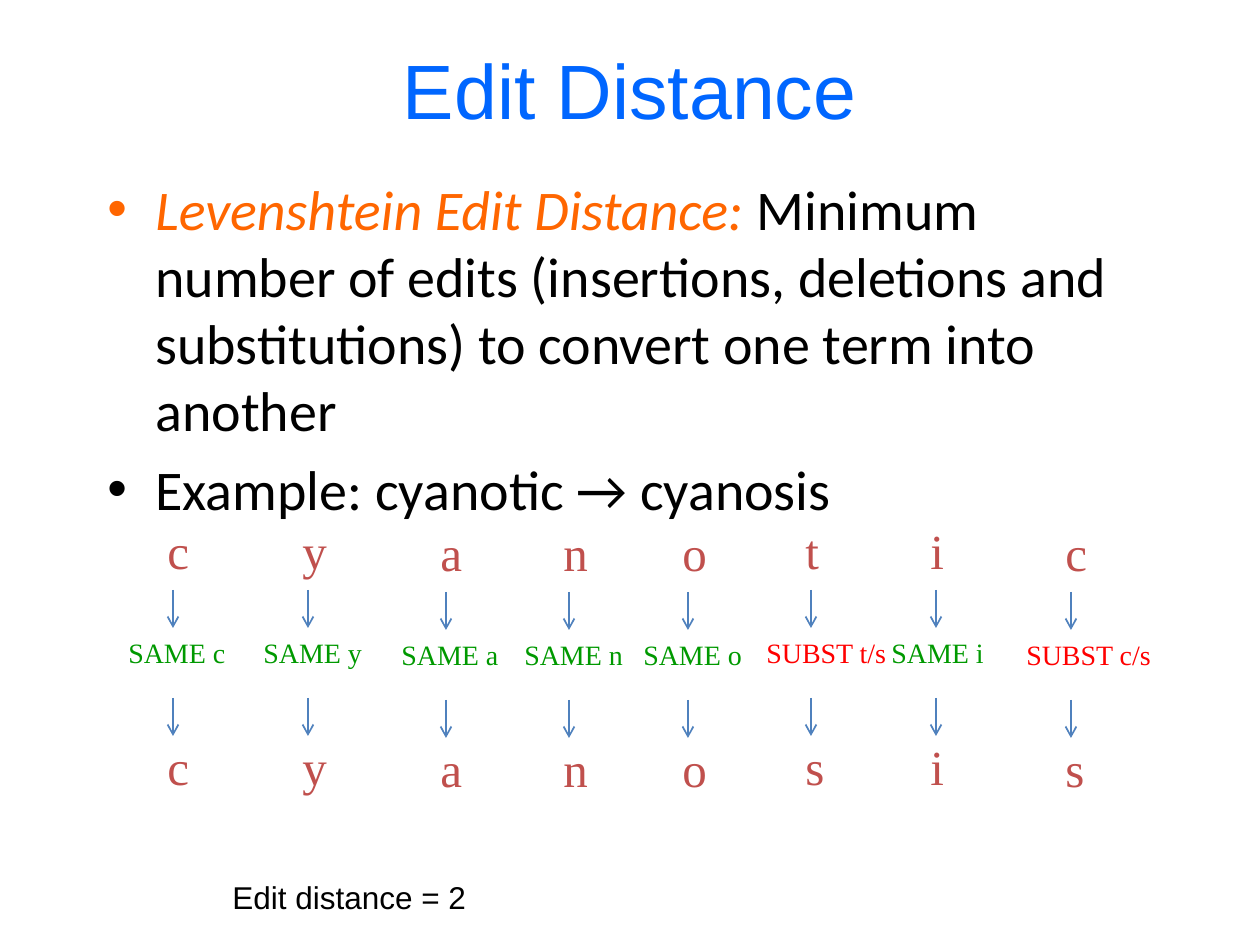
from pptx import Presentation
from pptx.dml.color import RGBColor
from pptx.enum.shapes import MSO_CONNECTOR
from pptx.enum.text import MSO_ANCHOR, MSO_AUTO_SIZE, PP_ALIGN
from pptx.oxml.ns import qn
from pptx.util import Emu, Pt
from lxml import etree

PX = 914400 // 126
STRAIGHT = MSO_CONNECTOR.STRAIGHT
MIDDLE = MSO_ANCHOR.MIDDLE
GROW = MSO_AUTO_SIZE.SHAPE_TO_FIT_TEXT
CENTER = PP_ALIGN.CENTER

TITLE_BLUE = RGBColor(0x00, 0x66, 0xFF)
TERM_ORANGE = RGBColor(0xFF, 0x66, 0x00)
BLACK = RGBColor(0x00, 0x00, 0x00)
LETTER_RED = RGBColor(0xC0, 0x50, 0x4D)
SAME_GREEN = RGBColor(0x00, 0x99, 0x00)
SUBST_RED = RGBColor(0xFF, 0x00, 0x00)
ARROW_BLUE = RGBColor(0x4F, 0x81, 0xBD)

SERIF = "Times New Roman"
LETTER_WIDTHS = {"c": 35, "y": 57, "a": 54, "n": 57, "o": 57, "t": 44, "i": 44, "s": 50}

# Left edge, downward shift, source letter, target letter, label width
COLUMNS = [
    (155, 0, "c", "c", 140),
    (290, 0, "y", "y", 142),
    (428, 2, "a", "a", 140),
    (551, 2, "n", "n", 142),
    (670, 2, "o", "o", 142),
    (793, 0, "t", "s", 146),
    (918, 0, "i", "i", 135),
    (1053, 2, "c", "s", 151),
]


def px(length):
    return Emu(length * PX)


def add_text_box(slide, left, top, width, height):
    return slide.shapes.add_textbox(px(left), px(top), px(width), px(height)).text_frame


def style_font(font, size, name, color):
    font.size = Pt(size)
    font.name = name
    font.color.rgb = color


def add_label(slide, left, top, width, height, text, size, name, color):
    """Add one unwrapped line of text in a box that grows with it."""
    frame = add_text_box(slide, left, top, width, height)
    frame.word_wrap = False
    frame.auto_size = GROW
    paragraph = frame.paragraphs[0]
    paragraph.text = text
    style_font(paragraph.font, size, name, color)


def add_title(slide):
    frame = add_text_box(slide, 0, 10, 1260, 158)
    frame.word_wrap = True
    frame.vertical_anchor = MIDDLE
    paragraph = frame.paragraphs[0]
    paragraph.text = "Edit Distance"
    paragraph.alignment = CENTER
    style_font(paragraph.font, 44, "Arial", TITLE_BLUE)


def add_bullet(paragraph):
    properties = paragraph._p.get_or_add_pPr()
    properties.set("marL", str(px(48)))
    properties.set("indent", str(px(-48)))
    etree.SubElement(properties, qn("a:buFont")).set("typeface", "Arial")
    etree.SubElement(properties, qn("a:buChar")).set("char", "•")


def add_body(slide):
    frame = add_text_box(slide, 95, 168, 1071, 346)
    frame.word_wrap = True
    definition = frame.paragraphs[0]
    add_bullet(definition)
    term = definition.add_run()
    term.text = "Levenshtein Edit Distance: "
    term.font.italic = True
    style_font(term.font, 32, "Calibri", TERM_ORANGE)
    meaning = definition.add_run()
    meaning.text = (
        "Minimum number of edits (insertions, deletions and "
        "substitutions) to convert one term into another"
    )
    style_font(meaning.font, 32, "Calibri", BLACK)

    example = frame.add_paragraph()
    add_bullet(example)
    example.space_before = Pt(6.4)
    example.text = "Example: cyanotic → cyanosis"
    style_font(example.font, 32, "Calibri", BLACK)


def add_down_arrow(slide, x, top):
    arrow = slide.shapes.add_connector(STRAIGHT, px(x), px(top), px(x), px(top + 38))
    arrow.line.color.rgb = ARROW_BLUE
    arrow.line.width = Pt(1)
    etree.SubElement(arrow.line._get_or_add_ln(), qn("a:tailEnd")).set("type", "arrow")
    etree.SubElement(arrow._element.spPr, qn("a:effectLst"))


def add_edit_column(slide, left, shift, source, target, label_width):
    """Show one source letter, its edit operation and the resulting letter."""
    for letter, top in ((source, 514), (target, 730)):
        add_label(slide, left, top + shift, LETTER_WIDTHS[letter], 77,
                  letter, 28, SERIF, LETTER_RED)
    if source == target:
        operation, color = f"SAME {source}", SAME_GREEN
    else:
        operation, color = f"SUBST {source}/{target}", SUBST_RED
    add_label(slide, left - 39, 629 + shift, label_width, 49, operation, 16, SERIF, color)
    for top in (590, 698):
        add_down_arrow(slide, left + 18, top + shift)


def main():
    presentation = Presentation()
    presentation.slide_width = px(1260)
    presentation.slide_height = px(945)
    slide = presentation.slides.add_slide(presentation.slide_layouts[6])
    add_title(slide)
    add_body(slide)
    for column in COLUMNS:
        # The final pair becomes "c/s", matching its two letters.
        add_edit_column(slide, *column)
    add_label(slide, 220, 872, 261, 50, "Edit distance = 2", 18, "Arial", BLACK)
    presentation.save("out.pptx")


if __name__ == "__main__":
    main()
